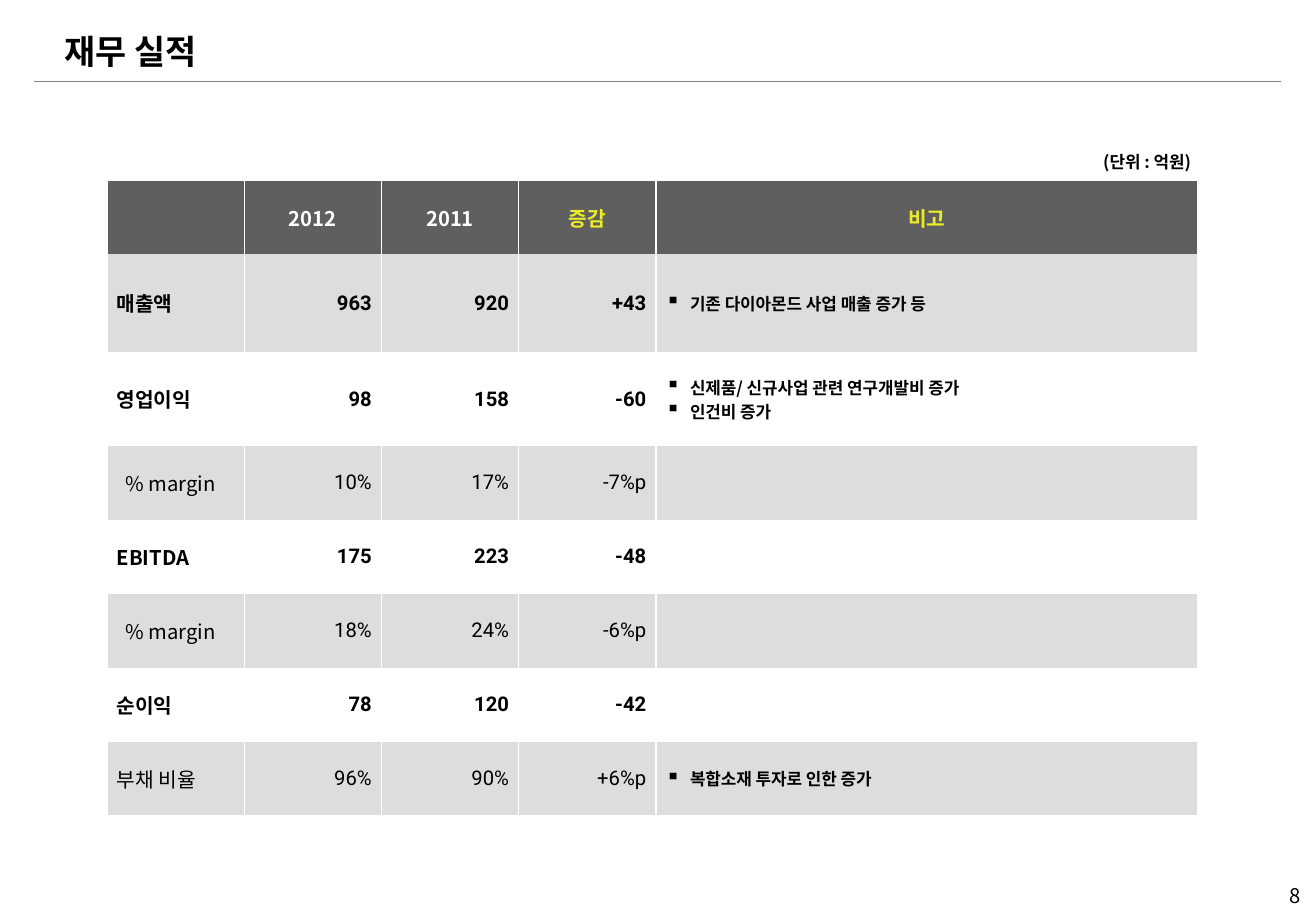
"""Build the financial results slide."""
from lxml import etree
from pptx import Presentation, util as u
from pptx.dml.color import RGBColor
from pptx.enum import shapes, text
from pptx.oxml.ns import qn

SLIDE_WIDTH, SLIDE_HEIGHT = u.Inches(10.83), u.Inches(7.5)
BLACK = RGBColor(0x00, 0x00, 0x00)
WHITE = RGBColor(0xFF, 0xFF, 0xFF)
YELLOW = RGBColor(0xEC, 0xEC, 0x28)
RULE_GREY = RGBColor(0x80, 0x80, 0x80)
HEADER_GREY = RGBColor(0x5F, 0x5F, 0x5F)
BAND_GREY = RGBColor(0xDD, 0xDD, 0xDD)
KOREAN_FONT, NUMBER_FONT = "Noto Sans CJK KR", "Roboto"
LEFT, CENTER, RIGHT = text.PP_ALIGN.LEFT, text.PP_ALIGN.CENTER, text.PP_ALIGN.RIGHT

COLUMN_SHARES = [10.43] * 4 + [41.18]
ROW_SHARES = [8, 10.8, 10.27] + [8.13] * 4 + [8]
HEADER = [("", WHITE), ("2012", WHITE), ("2011", WHITE), ("증감", YELLOW), ("비고", YELLOW)]
MARGIN_LABEL = "% margin"
RESULTS = [
    ("매출액", True, ["963", "920", "+43"], ["기존 다이아몬드 사업 매출 증가 등"]),
    ("영업이익", True, ["98", "158", "-60"],
     ["신제품/ 신규사업 관련 연구개발비 증가", "인건비 증가"]),
    (MARGIN_LABEL, False, ["10%", "17%", "-7%p"], []),
    ("EBITDA", True, ["175", "223", "-48"], []),
    (MARGIN_LABEL, False, ["18%", "24%", "-6%p"], []),
    ("순이익", True, ["78", "120", "-42"], []),
    ("부채 비율", False, ["96%", "90%", "+6%p"], ["복합소재 투자로 인한 증가"]),
]


def across(percent):
    """Return a percentage of the slide width."""
    return int(SLIDE_WIDTH * percent / 100)


def down(percent):
    """Return a percentage of the slide height."""
    return int(SLIDE_HEIGHT * percent / 100)


def add_run(paragraph, words, size, bold=False, color=BLACK, font=KOREAN_FONT):
    """Add one styled run to a paragraph."""
    run = paragraph.add_run()
    run.text = words
    run.font.size = u.Pt(size)
    run.font.bold = bold
    run.font.color.rgb = color
    run.font.name = font
    properties = run.font._element
    etree.SubElement(properties, qn("a:ea"), typeface=KOREAN_FONT)


def add_label(slide, box, words, size, bold=False, align=LEFT, inset=0):
    """Add a one-line text box placed by slide percentages."""
    left, top, width, height = box
    shape = slide.shapes.add_textbox(across(left), down(top), across(width), down(height))
    frame = shape.text_frame
    frame.word_wrap = True
    frame.auto_size = text.MSO_AUTO_SIZE.SHAPE_TO_FIT_TEXT
    frame.margin_left = frame.margin_right = 0
    frame.margin_top = frame.margin_bottom = u.Inches(inset)
    paragraph = frame.paragraphs[0]
    paragraph.alignment = align
    add_run(paragraph, words, size, bold)


def add_rule(slide):
    """Draw the line under the title."""
    rule = slide.shapes.add_connector(
        shapes.MSO_CONNECTOR.STRAIGHT, across(2.59), down(8.93), across(97.32), down(8.93))
    rule.line.color.rgb = RULE_GREY
    rule.line.width = u.Pt(1)
    etree.SubElement(rule._element.spPr, qn("a:effectLst"))


def style_cell(cell, fill):
    """Set margins, white vertical borders and fill of a cell."""
    cell.vertical_anchor = text.MSO_ANCHOR.MIDDLE
    cell.margin_left = cell.margin_right = u.Inches(0.08)
    cell.margin_top = cell.margin_bottom = u.Inches(0.05)
    properties = cell._tc.get_or_add_tcPr()
    for side in ("lnL", "lnR"):
        line = etree.SubElement(properties, qn(f"a:{side}"), w=str(u.Pt(1)))
        solid = etree.SubElement(line, qn("a:solidFill"))
        etree.SubElement(solid, qn("a:srgbClr"), val=str(WHITE))
    for side in ("lnT", "lnB"):
        line = etree.SubElement(properties, qn(f"a:{side}"), w="0")
        etree.SubElement(line, qn("a:noFill"))
    if fill is None:
        cell.fill.background()
    else:
        cell.fill.solid()
        cell.fill.fore_color.rgb = fill


def write_cell(cell, words, align, **style):
    """Write a single 12-point paragraph in a cell."""
    paragraph = cell.text_frame.paragraphs[0]
    paragraph.alignment = align
    add_run(paragraph, words, 12, **style)


def write_remarks(cell, remarks):
    """Write the remarks as square-bulleted paragraphs."""
    frame = cell.text_frame
    for index, remark in enumerate(remarks):
        paragraph = frame.add_paragraph() if index else frame.paragraphs[0]
        properties = paragraph._p.get_or_add_pPr()
        properties.set("marL", str(u.Inches(0.2)))
        properties.set("indent", str(-u.Inches(0.2)))
        etree.SubElement(properties, qn("a:buSzPct"), val="120000")
        etree.SubElement(properties, qn("a:buChar"), char="▪")
        add_run(paragraph, remark, 10, bold=True)


def add_results_table(slide):
    """Add the table of yearly results with remarks."""
    table = slide.shapes.add_table(
        len(ROW_SHARES), len(COLUMN_SHARES), across(8.13), down(19.87),
        across(sum(COLUMN_SHARES)), down(sum(ROW_SHARES))).table
    table.first_row = table.horz_banding = False
    for column, share in zip(table.columns, COLUMN_SHARES):
        column.width = across(share)
    for index, (row, share) in enumerate(zip(table.rows, ROW_SHARES)):
        row.height = down(share)
        fill = HEADER_GREY if index == 0 else BAND_GREY if index % 2 else None
        for cell in row.cells:
            style_cell(cell, fill)
    for column, (heading, color) in enumerate(HEADER):
        if heading:
            write_cell(table.cell(0, column), heading, CENTER, bold=True, color=color)
    for row, (label, bold, values, remarks) in enumerate(RESULTS, 1):
        label_cell = table.cell(row, 0)
        write_cell(label_cell, label, LEFT, bold=bold)
        if label == MARGIN_LABEL:
            label_cell.margin_left = u.Inches(0.15)
        for column, value in enumerate(values, 1):
            write_cell(table.cell(row, column), value, RIGHT, bold=bold, font=NUMBER_FONT)
        write_remarks(table.cell(row, 4), remarks)


def main():
    """Build and save the presentation."""
    presentation = Presentation()
    presentation.slide_width, presentation.slide_height = SLIDE_WIDTH, SLIDE_HEIGHT
    slide = presentation.slides.add_slide(presentation.slide_layouts[6])
    add_rule(slide)
    add_label(slide, (4.89, 3.33, 92.61, 4.4), "재무 실적", 20, bold=True)
    add_label(slide, (77.93, 96.93, 20.87, 2.67), "8", 12, align=RIGHT)
    add_results_table(slide)
    add_label(slide, (77.56, 16, 12.93, 3.6), "(단위 : 억원)", 10, bold=True,
              align=RIGHT, inset=0.05)
    presentation.save("out.pptx")


if __name__ == "__main__":
    main()
